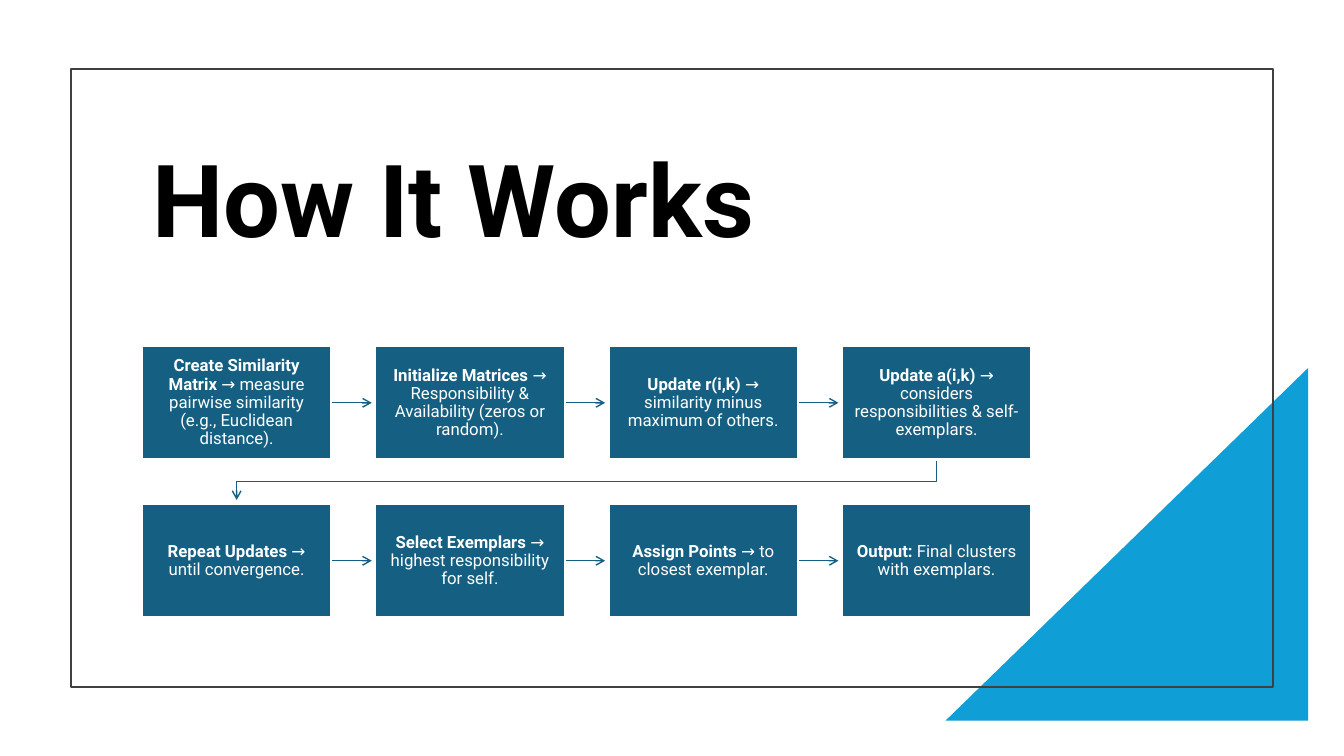
from lxml.etree import SubElement
from pptx import Presentation
from pptx.dml.color import RGBColor
from pptx.enum.shapes import MSO_CONNECTOR, MSO_SHAPE
from pptx.enum.text import MSO_ANCHOR, MSO_AUTO_SIZE, PP_ALIGN
from pptx.oxml.ns import qn
from pptx.util import Cm, Pt

COLORS = {
    "step": "156082",
    "accent": "0F9ED5",
    "frame": "404040",
    "white": "FFFFFF",
    "black": "000000",
}

STEPS = [
    ("Create Similarity Matrix", " → measure pairwise similarity (e.g., Euclidean distance)."),
    ("Initialize Matrices", " → Responsibility & Availability (zeros or random)."),
    ("Update r(i,k)", " → similarity minus maximum of others."),
    ("Update a(i,k)", " → considers responsibilities & self-exemplars."),
    ("Repeat Updates", " → until convergence."),
    ("Select Exemplars", " → highest responsibility for self."),
    ("Assign Points", " → to closest exemplar."),
    ("Output:", " Final clusters with exemplars."),
]

COLUMNS = 4
LEFT, TOP = 3.58, 8.72
STEP_WIDTH, STEP_HEIGHT = 4.77, 2.86
COLUMN_PITCH, ROW_PITCH = 5.88, 3.98
ARROW_LENGTH = 1.02
RIGHT_SIDE = 3


class SlideBuilder:
    def __init__(self, page, font):
        self.page = page
        self.font = font

    def color(self, name):
        return RGBColor.from_string(COLORS[name])

    def stroke(self, shape, color, width):
        shape.line.color.rgb = self.color(color)
        shape.line.width = Pt(width)

    def arrowhead(self, shape):
        self.stroke(shape, "step", 1)
        SubElement(shape.line._get_or_add_ln(), qn("a:tailEnd"), type="arrow")

    def span(self, para, text, size, color, bold):
        span = para.add_run()
        span.text = text
        span.font.name = self.font
        span.font.size = Pt(size)
        span.font.bold = bold
        span.font.color.rgb = self.color(color)

    def title(self, text, left, top, width, height):
        title = self.page.shapes.title
        title.left, title.top = Cm(left), Cm(top)
        title.width, title.height = Cm(width), Cm(height)
        frame = title.text_frame
        frame.vertical_anchor = MSO_ANCHOR.MIDDLE
        frame.auto_size = MSO_AUTO_SIZE.NONE
        para = frame.paragraphs[0]
        para.alignment = PP_ALIGN.LEFT
        para.line_spacing = 0.9
        self.span(para, text, 72, "black", True)

    def shape(self, kind, left, top, width, height, fill=None, line=None):
        shape = self.page.shapes.add_shape(kind, Cm(left), Cm(top), Cm(width), Cm(height))
        shape.shadow.inherit = False
        if fill:
            shape.fill.solid()
            shape.fill.fore_color.rgb = self.color(fill)
        else:
            shape.fill.background()
        if line:
            self.stroke(shape, line, 1.5)
        else:
            shape.line.fill.background()
        return shape

    def step(self, left, top, heading, detail):
        box = self.shape(MSO_SHAPE.RECTANGLE, left, top, STEP_WIDTH, STEP_HEIGHT, "step", "white")
        frame = box.text_frame
        frame.word_wrap = True
        frame.vertical_anchor = MSO_ANCHOR.MIDDLE
        frame.margin_left = frame.margin_right = Cm(0.23)
        frame.margin_top = frame.margin_bottom = Cm(0.25)
        para = frame.paragraphs[0]
        para.alignment = PP_ALIGN.CENTER
        para.line_spacing = 0.9
        self.span(para, heading, 12, "white", True)
        self.span(para, detail, 12, "white", False)
        return box

    def arrow(self, left, middle):
        arrow = self.page.shapes.add_connector(
            MSO_CONNECTOR.STRAIGHT, Cm(left), Cm(middle), Cm(left + ARROW_LENGTH), Cm(middle)
        )
        self.arrowhead(arrow)
        SubElement(arrow.element.spPr, qn("a:effectLst"))
        return arrow

    def bent_arrow(self, points):
        start, *rest = [(Cm(x), Cm(y)) for x, y in points]
        builder = self.page.shapes.build_freeform(*start)
        builder.add_line_segments(rest, close=False)
        bend = builder.convert_to_shape()
        bend.shadow.inherit = False
        bend.fill.background()
        self.arrowhead(bend)


def main():
    deck = Presentation()
    deck.slide_width, deck.slide_height = Cm(33.87), Cm(19.05)
    page = deck.slides.add_slide(deck.slide_layouts[5])
    slide = SlideBuilder(page, "Roboto")

    triangle = slide.shape(MSO_SHAPE.RIGHT_TRIANGLE, 23.83, 9.27, 9.14, 8.89, "accent")
    triangle.element.spPr.find(qn("a:xfrm")).set("flipH", "1")
    slide.shape(MSO_SHAPE.RECTANGLE, 1.79, 1.74, 30.3, 15.57, line="frame")
    slide.title("How It Works", LEFT, 2.92, 22.43, 4.5)

    first_center = LEFT + STEP_WIDTH / 2
    last_center = first_center + (COLUMNS - 1) * COLUMN_PITCH
    row_bottom = TOP + STEP_HEIGHT
    bend_level = row_bottom + (ROW_PITCH - STEP_HEIGHT) / 2
    slide.bent_arrow([
        (last_center, row_bottom),
        (last_center, bend_level),
        (first_center, bend_level),
        (first_center, row_bottom + ARROW_LENGTH),
    ])

    for index, (heading, detail) in enumerate(STEPS):
        row, column = divmod(index, COLUMNS)
        left = LEFT + column * COLUMN_PITCH
        top = TOP + row * ROW_PITCH
        if column < COLUMNS - 1:
            arrow = slide.arrow(left + STEP_WIDTH, top + STEP_HEIGHT / 2)
            arrow.begin_connect(slide.step(left, top, heading, detail), RIGHT_SIDE)
        else:
            slide.step(left, top, heading, detail)

    deck.save("out.pptx")


if __name__ == "__main__":
    main()
